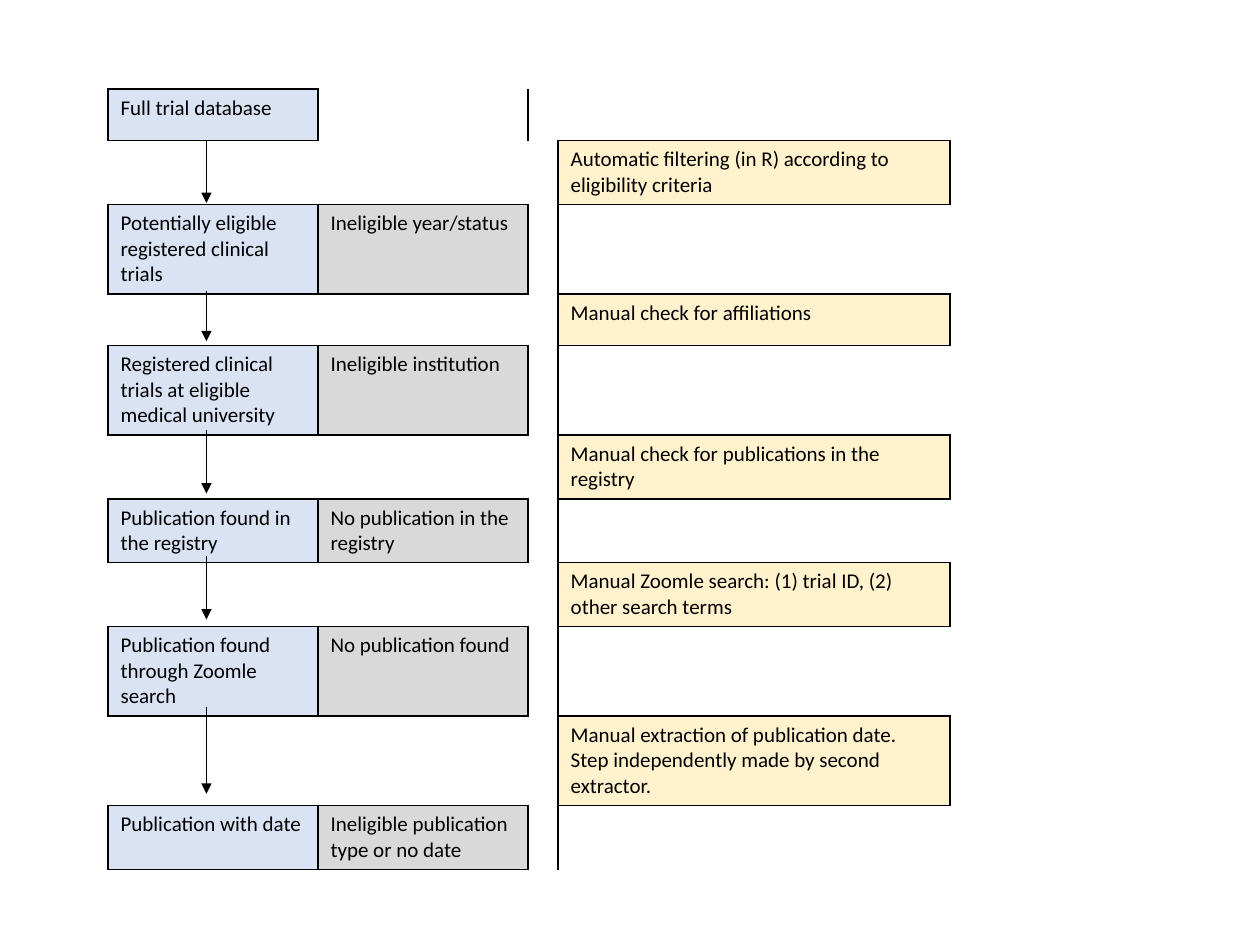
from lxml import etree
from pptx import Presentation
from pptx.dml.color import RGBColor
from pptx.enum import shapes
from pptx.oxml import ns
from pptx.util import Pt

COLORS = {"line": "000000", "kept": "DAE3F3", "excluded": "D9D9D9", "step": "FFF2CC"}
COLUMN_COLORS = ["kept", "excluded", None, "step"]
COLUMN_WIDTHS = [120, 120, 16.8, 224]
ROW_HEIGHTS = {1: 29.4, 2: 36.4, 3: 51.2}
NO_STYLE = "{2D5ABB26-0587-4C30-8999-92F81FD0307C}"

# Line count of the row, then the texts by column
ROWS = [
    (1, {0: "Full trial database"}),
    (2, {3: "Automatic filtering (in R) according to eligibility criteria"}),
    (3, {0: "Potentially eligible registered clinical trials", 1: "Ineligible year/status"}),
    (1, {3: "Manual check for affiliations"}),
    (3, {0: "Registered clinical trials at eligible medical university",
         1: "Ineligible institution"}),
    (2, {3: "Manual check for publications in the registry"}),
    (2, {0: "Publication found in the registry", 1: "No publication in the registry"}),
    (2, {3: "Manual Zoomle search: (1) trial ID, (2) other search terms"}),
    (3, {0: "Publication found through Zoomle search", 1: "No publication found"}),
    (3, {3: "Manual extraction of publication date. Step independently made by "
            "second extractor."}),
    (2, {0: "Publication with date", 1: "Ineligible publication type or no date"}),
]
ARROW_X = 118
ARROWS = [(80, 116), (166.4, 195), (246, 282), (318, 354), (404, 453.6)]


def add_element(parent, tag, **attributes):
    """Append a drawing element to the parent and return it."""
    return etree.SubElement(parent, ns.qn(tag), attributes)


def is_box(row, column):
    """Tell whether the grid position holds a filled box."""
    return 0 <= row < len(ROWS) and column in ROWS[row][1]


presentation = Presentation()
presentation.slide_width, presentation.slide_height = Pt(720), Pt(540)
slide = presentation.slides.add_slide(presentation.slide_layouts[6])

heights = [ROW_HEIGHTS[lines] for lines, texts in ROWS]
frame = slide.shapes.add_table(len(ROWS), len(COLUMN_WIDTHS), Pt(61.7), Pt(50.9),
                               Pt(sum(COLUMN_WIDTHS)), Pt(sum(heights)))
table = frame.table
table.first_row = False
table.horz_banding = False
table._tbl.tblPr.find(ns.qn("a:tableStyleId")).text = NO_STYLE
for column, width in zip(table.columns, COLUMN_WIDTHS):
    column.width = Pt(width)

for r, (lines, texts) in enumerate(ROWS):
    table.rows[r].height = Pt(heights[r])
    for c, color in enumerate(COLUMN_COLORS):
        cell = table.cell(r, c)
        properties = cell._tc.get_or_add_tcPr()
        neighbours = {"L": (r, c - 1), "R": (r, c + 1), "T": (r - 1, c), "B": (r + 1, c)}
        for side, neighbour in neighbours.items():
            if is_box(r, c) or is_box(*neighbour):
                border = add_element(properties, f"a:ln{side}", w=str(Pt(1)))
                fill = add_element(border, "a:solidFill")
                add_element(fill, "a:srgbClr", val=COLORS["line"])
        if not is_box(r, c):
            cell.fill.background()
            continue
        cell.fill.solid()
        cell.fill.fore_color.rgb = RGBColor.from_string(COLORS[color])
        cell.text_frame.text = texts[c]
        font = cell.text_frame.paragraphs[0].runs[0].font
        font.name, font.size = "Calibri", Pt(12)
        font.color.rgb = RGBColor.from_string(COLORS["line"])

for top, bottom in ARROWS:
    arrow = slide.shapes.add_connector(shapes.MSO_CONNECTOR.STRAIGHT, Pt(ARROW_X), Pt(top),
                                       Pt(ARROW_X), Pt(bottom))
    arrow.line.width = Pt(0.5)
    arrow.line.color.rgb = RGBColor.from_string(COLORS["line"])
    add_element(arrow.line._get_or_add_ln(), "a:tailEnd", type="triangle")
    add_element(arrow._element.spPr, "a:effectLst")

presentation.save("out.pptx")
